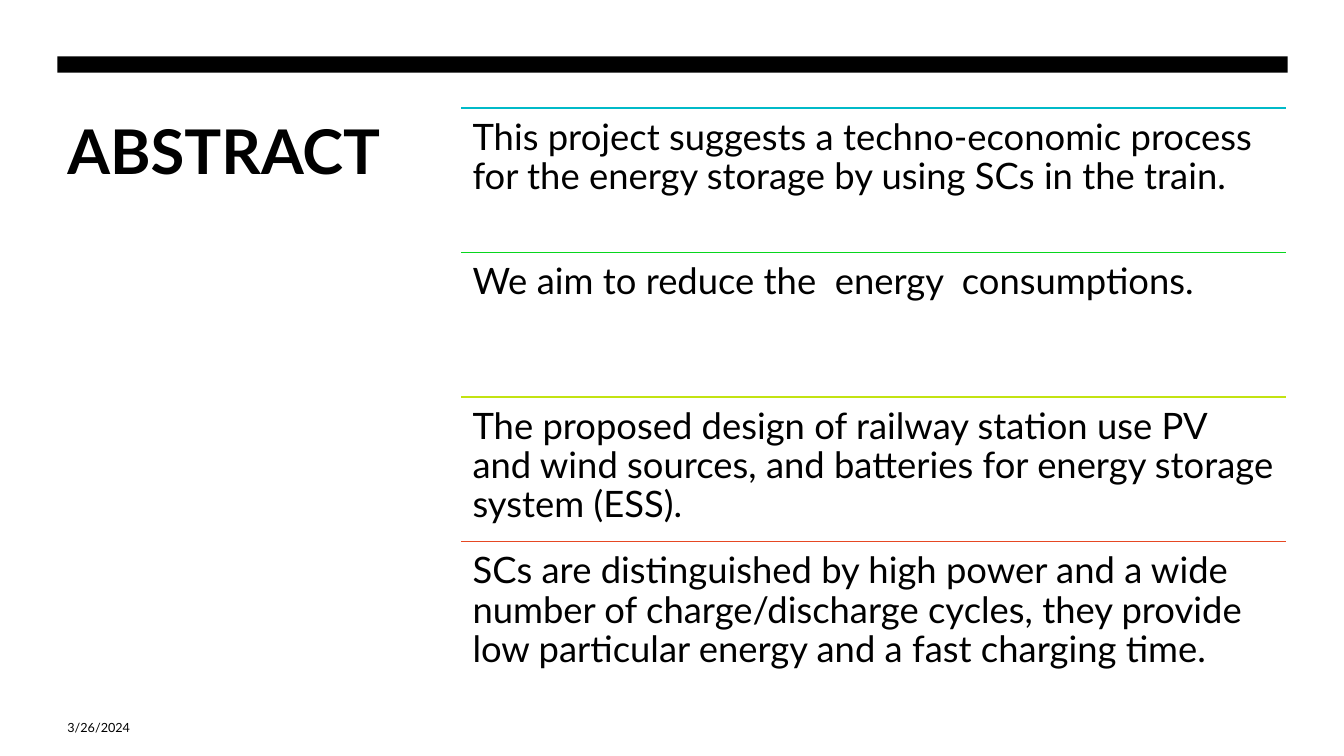
from lxml import etree
from pptx import Presentation
from pptx.dml.color import RGBColor
from pptx.enum.shapes import MSO_CONNECTOR, MSO_SHAPE
from pptx.enum.text import MSO_ANCHOR
from pptx.oxml.ns import qn
from pptx.util import Cm, Pt

RECT = MSO_SHAPE.RECTANGLE
LINE = MSO_CONNECTOR.STRAIGHT
TOP, MIDDLE = MSO_ANCHOR.TOP, MSO_ANCHOR.MIDDLE

FONT = "Lato"
BLACK, WHITE = "000000", "FFFFFF"
TITLE = "ABSTRACT"
DATE = "3/26/2024"
POINTS = [
    ("00BAC8", "This project suggests a techno-economic process for the energy "
               "storage by using SCs in the train."),
    ("08D61E", "We aim to reduce the  energy  consumptions."),
    ("C3E311", "The proposed design of railway station use PV and wind sources, "
               "and batteries for energy storage system (ESS)."),
    ("E64823", "SCs are distinguished by high power and a wide number of "
               "charge/discharge cycles, they provide low particular energy "
               "and a fast charging time."),
]

WIDTH, HEIGHT = Cm(33.87), Cm(19.05)
LEFT, HEAD = Cm(1.45), Cm(2.72)
LIST_LEFT, LIST_WIDTH, STEP = Cm(11.63), Cm(20.79), Cm(3.64)
INSET = Cm(0.28)

deck = Presentation()
deck.slide_width, deck.slide_height = WIDTH, HEIGHT
slide = deck.slides.add_slide(deck.slide_layouts[6])
shapes = slide.shapes


def color(code):
    return RGBColor.from_string(code)


def add_bar(left, top, width, height, fill):
    bar = shapes.add_shape(RECT, left, top, width, height)
    bar.shadow.inherit = False
    bar.fill.solid()
    bar.fill.fore_color.rgb = color(fill)
    bar.line.fill.background()


def add_rule(left, top, width, code):
    rule = shapes.add_connector(LINE, left, top, left + width, top)
    rule.line.color.rgb = color(code)
    rule.line.width = Pt(1)
    etree.SubElement(rule._element.spPr, qn("a:effectLst"))


def add_text(words, left, top, width, height, size, bold=False, anchor=TOP):
    """Add a one-paragraph text box and return its frame."""
    frame = shapes.add_textbox(left, top, width, height).text_frame
    frame.word_wrap = True
    frame.vertical_anchor = anchor
    para = frame.paragraphs[0]
    para.space_after = Pt(6)
    run = para.add_run()
    run.text = words
    run.font.name = FONT
    run.font.size = Pt(size)
    run.font.bold = bold
    run.font.color.rgb = color(BLACK)
    return frame


add_bar(0, 0, WIDTH, HEIGHT, WHITE)
add_text(TITLE, LEFT, HEAD, Cm(8.76), Cm(11.3), 44, bold=True)
add_text(DATE, LEFT, Cm(17.83), Cm(7.62), Cm(1.02), 9, anchor=MIDDLE)
add_bar(LEFT, Cm(1.42), Cm(31), Cm(0.41), BLACK)

for row, (code, words) in enumerate(POINTS):
    top = HEAD + row * STEP
    add_rule(LIST_LEFT, top, LIST_WIDTH, code)
    frame = add_text(words, LIST_LEFT, top, LIST_WIDTH, STEP, 26)
    frame.margin_left = frame.margin_right = INSET
    frame.margin_top = frame.margin_bottom = INSET
    frame.paragraphs[0].line_spacing = 0.9

deck.save("out.pptx")
